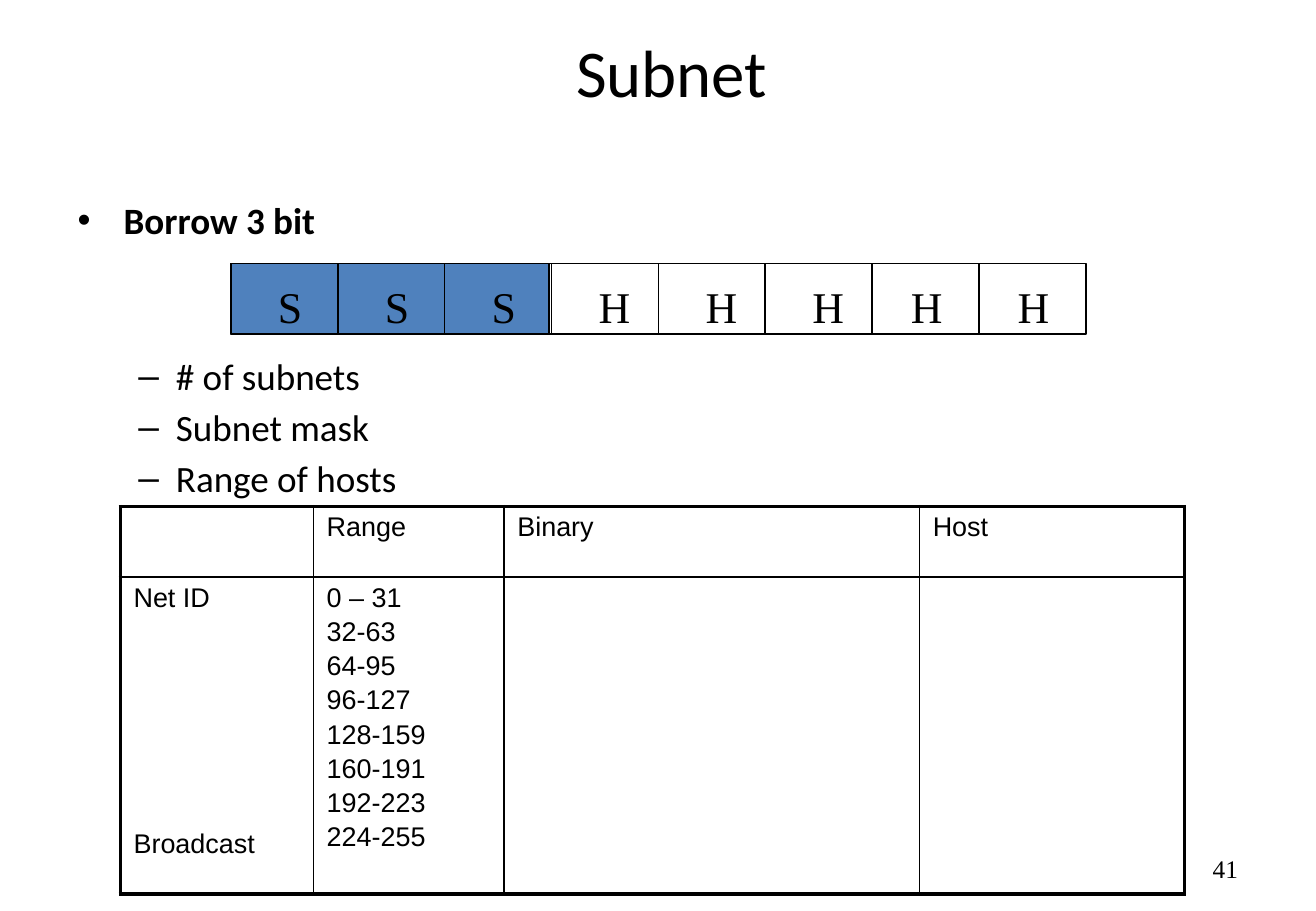
import dataclasses
import typing

import lxml.etree
import pptx
import pptx.dml.color
import pptx.enum.shapes
import pptx.enum.text
import pptx.oxml.ns
import pptx.slide
import pptx.table
import pptx.text.text
import pptx.util

Pt = pptx.util.Pt
qn = pptx.oxml.ns.qn
Align = pptx.enum.text.PP_ALIGN
Anchor = pptx.enum.text.MSO_ANCHOR


@dataclasses.dataclass(frozen=True)
class Theme:
    ink: str = "000000"
    blue: str = "4F81BD"
    sans: str = "Calibri"
    serif: str = "Times New Roman"
    grid: str = "Arial"
    title: float = 39.6
    body: float = 22
    bit: float = 26
    cell: float = 16
    page: float = 15
    thin: float = 1
    thick: float = 2.25


@dataclasses.dataclass(frozen=True)
class Box:
    left: float
    top: float
    width: float
    height: float

    def points(self) -> tuple[int, int, int, int]:
        return Pt(self.left), Pt(self.top), Pt(self.width), Pt(self.height)


@dataclasses.dataclass(frozen=True)
class Label:
    text: str
    box: Box
    font: str
    size: float
    align: Align = Align.LEFT
    anchor: Anchor = Anchor.TOP
    wrap: bool = True


@dataclasses.dataclass(frozen=True)
class Bullet:
    text: str
    mark: str
    margin: float
    hang: float
    before: float
    bold: bool = False


THEME = Theme()
BITS = "SSSHHHHH"
BAR = Box(136.8, 156.24, 506.88, 41.76)
STEP = BAR.width / len(BITS)
SHADE = Box(BAR.left, BAR.top, 188.64, BAR.height)

LABELS = [
    Label("Subnet", Box(64.8, 18, 666.72, 48.24), THEME.sans, THEME.title,
          Align.CENTER, Anchor.MIDDLE),
    Label("41", Box(558.72, 500.4, 182.16, 28.8), THEME.serif, THEME.page,
          Align.RIGHT, Anchor.MIDDLE),
]

LIST = Box(38.88, 113.76, 740.88, 378)
BULLETS = [
    Bullet("Borrow 3 bit", "•", 27.36, 27.36, 0, True),
    Bullet("# of subnets", "–", 58.32, 22.32, 65.6),  # leaves room for the bit bar
    Bullet("Subnet mask", "–", 58.32, 22.32, 4),
    Bullet("Range of hosts", "–", 58.32, 22.32, 4),
]

GRID = Box(71.28, 300.24, 630.72, 229.68)
COLUMNS = [114.48, 113.04, 246.24, 156.96]
ROWS = [41.76, 187.92]
RANGES = "0 – 31\n32-63\n64-95\n96-127\n128-159\n160-191\n192-223\n224-255"
CELLS = [
    ["", "Range", "Binary", "Host"],
    ["Net ID\nBroadcast", RANGES, "", ""],
]
LINE_GAP = 2.5
LAST_GAP = 128  # sets "Broadcast" level with the last range


def color(code: str) -> pptx.dml.color.RGBColor:
    return pptx.dml.color.RGBColor.from_string(code)


def style(para: pptx.text.text._Paragraph, font: str, size: float,
          bold: bool = False) -> None:
    for run in para.runs:
        run.font.name = font
        run.font.size = Pt(size)
        run.font.bold = bold
        run.font.color.rgb = color(THEME.ink)


def add_label(slide: pptx.slide.Slide, label: Label) -> None:
    frame = slide.shapes.add_textbox(*label.box.points()).text_frame
    frame.word_wrap = label.wrap
    frame.vertical_anchor = label.anchor
    frame.text = label.text
    frame.paragraphs[0].alignment = label.align
    style(frame.paragraphs[0], label.font, label.size)


def add_list(slide: pptx.slide.Slide, box: Box, bullets: list[Bullet]) -> None:
    frame = slide.shapes.add_textbox(*box.points()).text_frame
    frame.word_wrap = True
    frame.text = "\n".join(item.text for item in bullets)
    for para, item in zip(frame.paragraphs, bullets):
        para.space_before = Pt(item.before)
        props = para._p.get_or_add_pPr()
        props.set("marL", str(Pt(item.margin)))
        props.set("indent", str(-Pt(item.hang)))
        lxml.etree.SubElement(props, qn("a:buFont"), typeface=THEME.grid)
        lxml.etree.SubElement(props, qn("a:buChar"), char=item.mark)
        style(para, THEME.sans, THEME.body, item.bold)


def add_rect(slide: pptx.slide.Slide, box: Box, fill: typing.Optional[str]) -> None:
    kind = pptx.enum.shapes.MSO_SHAPE.RECTANGLE
    rect = slide.shapes.add_shape(kind, *box.points())
    rect.shadow.inherit = False
    if fill:
        rect.fill.solid()
        rect.fill.fore_color.rgb = color(fill)
    else:
        rect.fill.background()
    rect.line.color.rgb = color(THEME.ink)
    rect.line.width = Pt(THEME.thin)


def add_rule(slide: pptx.slide.Slide, left: float, top: float, end: float) -> None:
    kind = pptx.enum.shapes.MSO_CONNECTOR.STRAIGHT
    rule = slide.shapes.add_connector(kind, Pt(left), Pt(top), Pt(left), Pt(end))
    rule.line.color.rgb = color(THEME.ink)
    rule.line.width = Pt(THEME.thin)
    lxml.etree.SubElement(rule._element.spPr, qn("a:effectLst"))


def add_bits(slide: pptx.slide.Slide) -> None:
    add_rect(slide, SHADE, THEME.blue)
    add_rect(slide, BAR, None)
    for index in range(1, len(BITS)):
        add_rule(slide, BAR.left + index * STEP, BAR.top, BAR.top + BAR.height)
    for index, bit in enumerate(BITS):
        inset = 20.88 if index < 6 else 15.84
        width = 28.8 if bit == "S" else 33.12
        box = Box(BAR.left + index * STEP + inset, 162, width, 38.88)
        add_label(slide, Label(bit, box, THEME.serif, THEME.bit, wrap=False))


def set_edges(cell: pptx.table._Cell, outer: dict[str, bool]) -> None:
    """Draw the four borders, thick where the edge is on the outside."""
    props = cell._tc.get_or_add_tcPr()
    for side, thick in outer.items():
        width = Pt(THEME.thick if thick else THEME.thin)
        edge = lxml.etree.SubElement(props, qn("a:" + side), w=str(width))
        fill = lxml.etree.SubElement(edge, qn("a:solidFill"))
        lxml.etree.SubElement(fill, qn("a:srgbClr"), val=THEME.ink)


def add_grid(slide: pptx.slide.Slide) -> None:
    table = slide.shapes.add_table(len(ROWS), len(COLUMNS), *GRID.points()).table
    table.first_row = table.horz_banding = False
    for column, width in zip(table.columns, COLUMNS):
        column.width = Pt(width)
    for row, height in zip(table.rows, ROWS):
        row.height = Pt(height)
    for down, texts in enumerate(CELLS):
        for across, text in enumerate(texts):
            cell = table.cell(down, across)
            cell.margin_left = cell.margin_right = Pt(7.92)
            cell.margin_top = cell.margin_bottom = Pt(3.6)
            cell.text_frame.text = text
            gap = LAST_GAP if text.endswith("Broadcast") else LINE_GAP
            for index, para in enumerate(cell.text_frame.paragraphs):
                para.space_before = Pt(gap if index else 0)
                style(para, THEME.grid, THEME.cell)
            set_edges(cell, {"lnL": across == 0, "lnR": across == len(COLUMNS) - 1,
                             "lnT": down == 0, "lnB": down == len(ROWS) - 1})
            cell.fill.background()


def main() -> None:
    deck = pptx.Presentation()
    deck.slide_width, deck.slide_height = Pt(780), Pt(540)
    slide = deck.slides.add_slide(deck.slide_layouts[6])
    add_list(slide, LIST, BULLETS)
    add_bits(slide)
    add_grid(slide)
    for label in LABELS:
        add_label(slide, label)
    deck.save("out.pptx")


if __name__ == "__main__":
    main()
